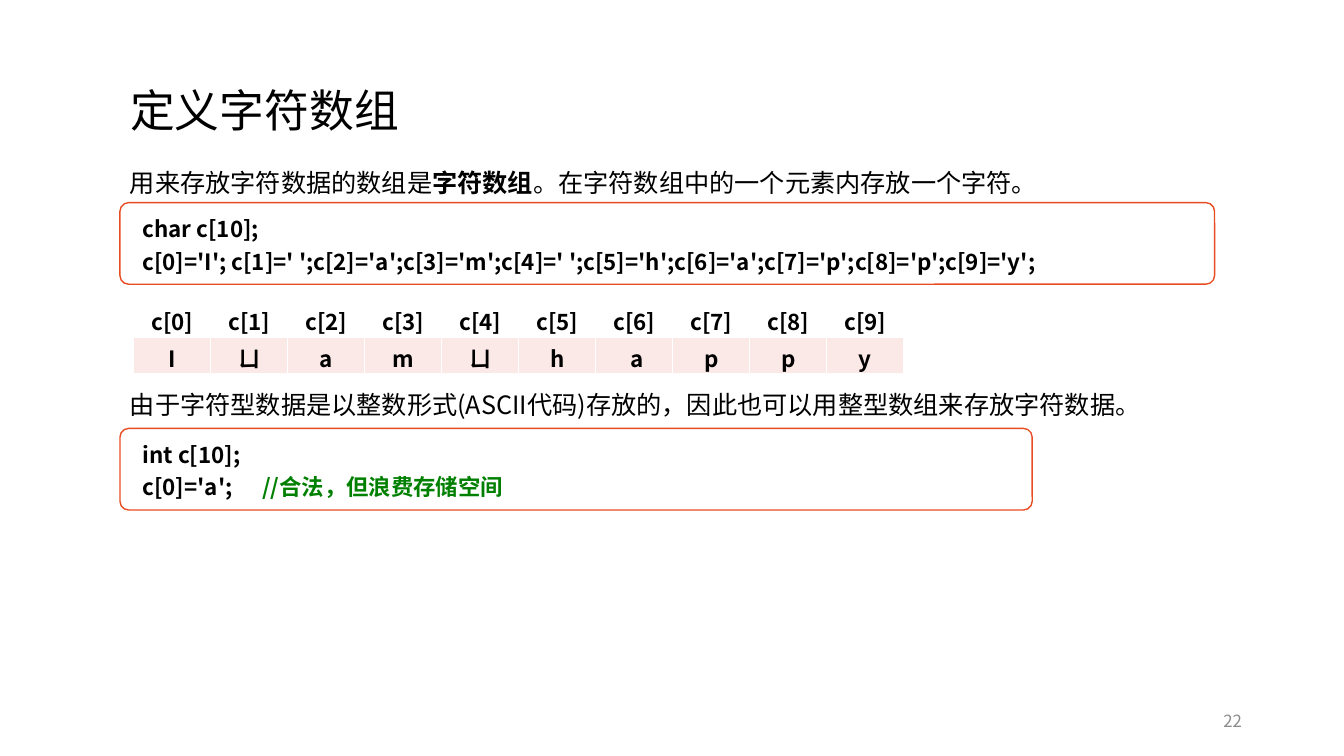
from dataclasses import dataclass

from lxml.etree import SubElement
from pptx import Presentation
from pptx.dml.color import RGBColor
from pptx.enum.shapes import MSO_SHAPE
from pptx.enum.text import MSO_ANCHOR as ANCHOR, PP_ALIGN as ALIGN
from pptx.oxml.ns import qn
from pptx.util import Pt

FONT = "Noto Sans CJK SC"
BLACK = RGBColor(0x00, 0x00, 0x00)
WHITE = RGBColor(0xFF, 0xFF, 0xFF)
ORANGE = RGBColor(0xE8, 0x4C, 0x22)
PINK = RGBColor(0xFB, 0xE9, 0xE8)
GREEN = RGBColor(0x00, 0x80, 0x00)
GRAY = RGBColor(0x8C, 0x8C, 0x8C)

LEFT = 85.7
BOX_HEIGHT = 58.3
ROW_HEIGHT = 26.3
COLUMN_WIDTH = 55
COMMENT_TAB = 85.5
CELL_FORMAT = {"margin_top": Pt(3), "margin_bottom": 0}
CODE_FORMAT = {
    "margin_left": Pt(14.4),
    "margin_right": Pt(7.2),
    "margin_top": Pt(3.6),
    "margin_bottom": Pt(3.6),
    "vertical_anchor": ANCHOR.TOP,
    "word_wrap": True,
}


@dataclass(frozen=True)
class Span:
    text: str
    bold: bool = False
    color: RGBColor = BLACK


@dataclass(frozen=True)
class Label:
    top: float
    width: float
    spans: tuple[Span, ...]
    left: float = LEFT
    size: float = 18
    align: ALIGN = ALIGN.LEFT
    anchor: ANCHOR = ANCHOR.TOP


@dataclass(frozen=True)
class CodeBox:
    top: float
    width: float
    lines: tuple[tuple[Span, ...], ...]


LABELS = (
    Label(115.9, 697.7, (
        Span("用来存放字符数据的数组是"),
        Span("字符数组", bold=True),
        Span("。在字符数组中的一个元素内存放一个字符。"),
    )),
    Label(274.3, 757.4, (
        Span("由于字符型数据是以整数形式(ASCII代码)存放的，因此也可以用整型数组来存放字符数据。"),
    )),
    Label(500.4, 216, (Span("22", color=GRAY),), left=678.2, size=12,
          align=ALIGN.RIGHT, anchor=ANCHOR.MIDDLE),
)
CODE_BOXES = (
    CodeBox(144.7, 781.9, (
        (Span("char c[10];", bold=True),),
        (Span("c[0]='I'; c[1]=' ';c[2]='a';c[3]='m';c[4]=' ';c[5]='h';"
              "c[6]='a';c[7]='p';c[8]='p';c[9]='y';", bold=True),),
    )),
    CodeBox(306, 651.6, (
        (Span("int c[10];", bold=True),),
        (Span("c[0]='a'; \t", bold=True),
         Span("//合法，但浪费存储空间", bold=True, color=GREEN)),
    )),
)
CHARACTERS = ("I", "ㄩ", "a", "m", "ㄩ", "h", " a", "p", "p", "y")


def apply(target, values: dict) -> None:
    for name, value in values.items():
        setattr(target, name, value)


def write(p, spans: tuple[Span, ...], size: float) -> None:
    for span in spans:
        r = p.add_run()
        r.text = span.text
        apply(r.font, {"size": Pt(size), "bold": span.bold, "name": FONT})
        r.font.color.rgb = span.color
        SubElement(r.font._element, qn("a:ea"), typeface=FONT)


def add_title(slide, text: str) -> None:
    sp = slide.shapes.title
    apply(sp, {"left": Pt(LEFT), "top": Pt(28.8), "width": Pt(466.6), "height": Pt(104.4)})
    apply(sp.text_frame, {"vertical_anchor": ANCHOR.MIDDLE, "word_wrap": True})
    p = sp.text_frame.paragraphs[0]
    apply(p, {"alignment": ALIGN.LEFT, "line_spacing": 0.9, "space_before": Pt(0)})
    write(p, (Span(text),), 32)


def add_label(slide, label: Label) -> None:
    sp = slide.shapes.add_textbox(Pt(label.left), Pt(label.top), Pt(label.width), Pt(28.8))
    tf = sp.text_frame
    apply(tf, {"word_wrap": True, "vertical_anchor": label.anchor})
    p = tf.paragraphs[0]
    p.alignment = label.align
    write(p, label.spans, label.size)


def add_code_box(slide, box: CodeBox) -> None:
    sp = slide.shapes.add_shape(MSO_SHAPE.ROUNDED_RECTANGLE, Pt(LEFT), Pt(box.top),
                                Pt(box.width), Pt(BOX_HEIGHT))
    sp.adjustments[0] = 0.107
    sp.shadow.inherit = False
    sp.fill.solid()
    sp.fill.fore_color.rgb = WHITE
    sp.line.color.rgb = ORANGE
    sp.line.width = Pt(1)
    tf = sp.text_frame
    apply(tf, CODE_FORMAT)
    for i, spans in enumerate(box.lines):
        p = tf.add_paragraph() if i else tf.paragraphs[0]
        apply(p, {"alignment": ALIGN.LEFT, "line_spacing": 1.2})
        if any("\t" in span.text for span in spans):
            tabs = SubElement(p._p.get_or_add_pPr(), qn("a:tabLst"))
            SubElement(tabs, qn("a:tab"), pos=str(Pt(COMMENT_TAB)), algn="l")
        write(p, spans, 16)


def add_borders(cell) -> None:
    tc_pr = cell._tc.get_or_add_tcPr()
    for i, side in enumerate(("lnL", "lnR", "lnB")):
        ln = tc_pr.makeelement(qn(f"a:{side}"), {"w": str(Pt(1))})
        fill = SubElement(ln, qn("a:solidFill"))
        SubElement(fill, qn("a:srgbClr"), val=str(WHITE))
        tc_pr.insert(i, ln)


def add_array_table(slide, characters: tuple[str, ...]) -> None:
    count = len(characters)
    headers = tuple(f"c[{i}]" for i in range(count))
    table = slide.shapes.add_table(2, count, Pt(95.6), Pt(214.5),
                                   Pt(COLUMN_WIDTH * count), Pt(ROW_HEIGHT * 2)).table
    apply(table, {"first_row": False, "horz_banding": False})
    for column in table.columns:
        column.width = Pt(COLUMN_WIDTH)
    for row, texts in enumerate((headers, characters)):
        table.rows[row].height = Pt(ROW_HEIGHT)
        for col, text in enumerate(texts):
            cell = table.cell(row, col)
            apply(cell, CELL_FORMAT)
            if row:
                cell.fill.solid()
                cell.fill.fore_color.rgb = PINK
                add_borders(cell)
            else:
                cell.fill.background()
            p = cell.text_frame.paragraphs[0]
            p.alignment = ALIGN.CENTER
            write(p, (Span(text, bold=True),), 16)


def main() -> None:
    prs = Presentation()
    apply(prs, {"slide_width": Pt(960), "slide_height": Pt(540)})
    slide = prs.slides.add_slide(prs.slide_layouts.get_by_name("Title Only"))
    add_title(slide, "定义字符数组")
    for label in LABELS:
        add_label(slide, label)
    for box in CODE_BOXES:
        add_code_box(slide, box)
    add_array_table(slide, CHARACTERS)
    prs.save("out.pptx")


if __name__ == "__main__":
    main()
